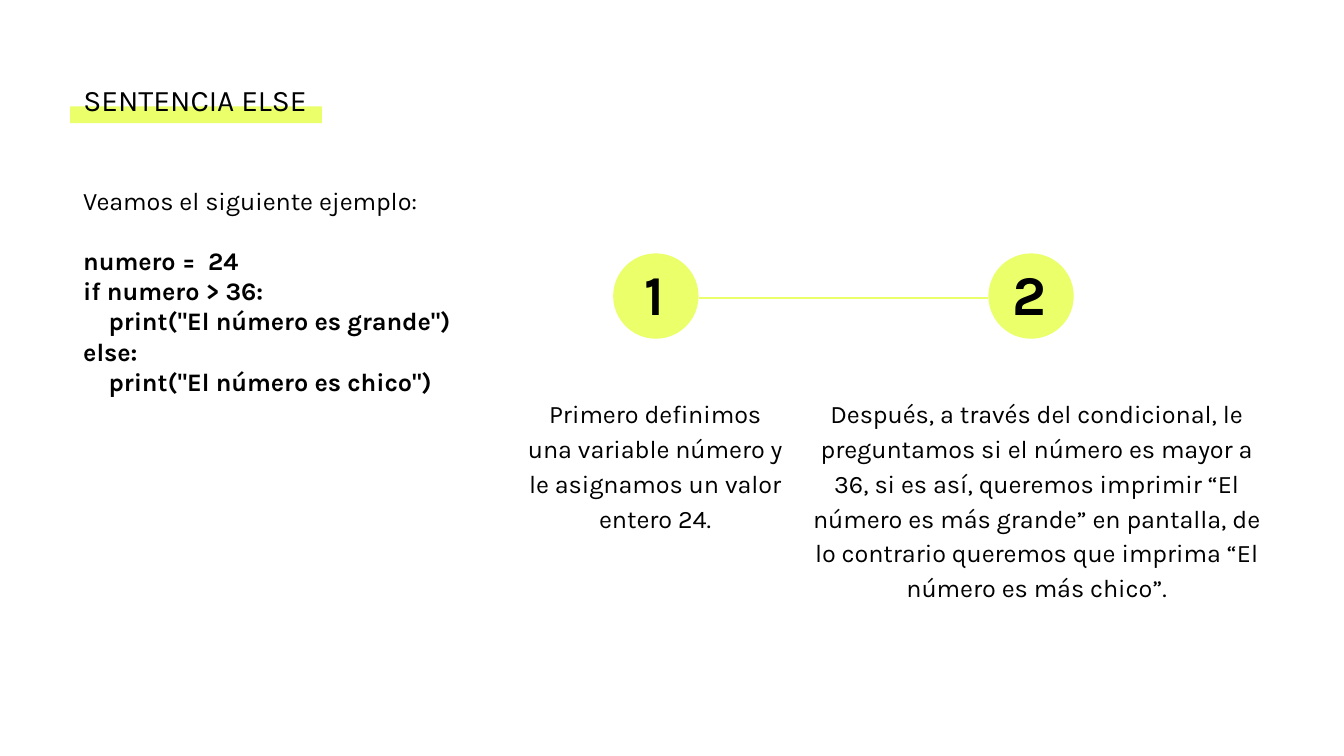
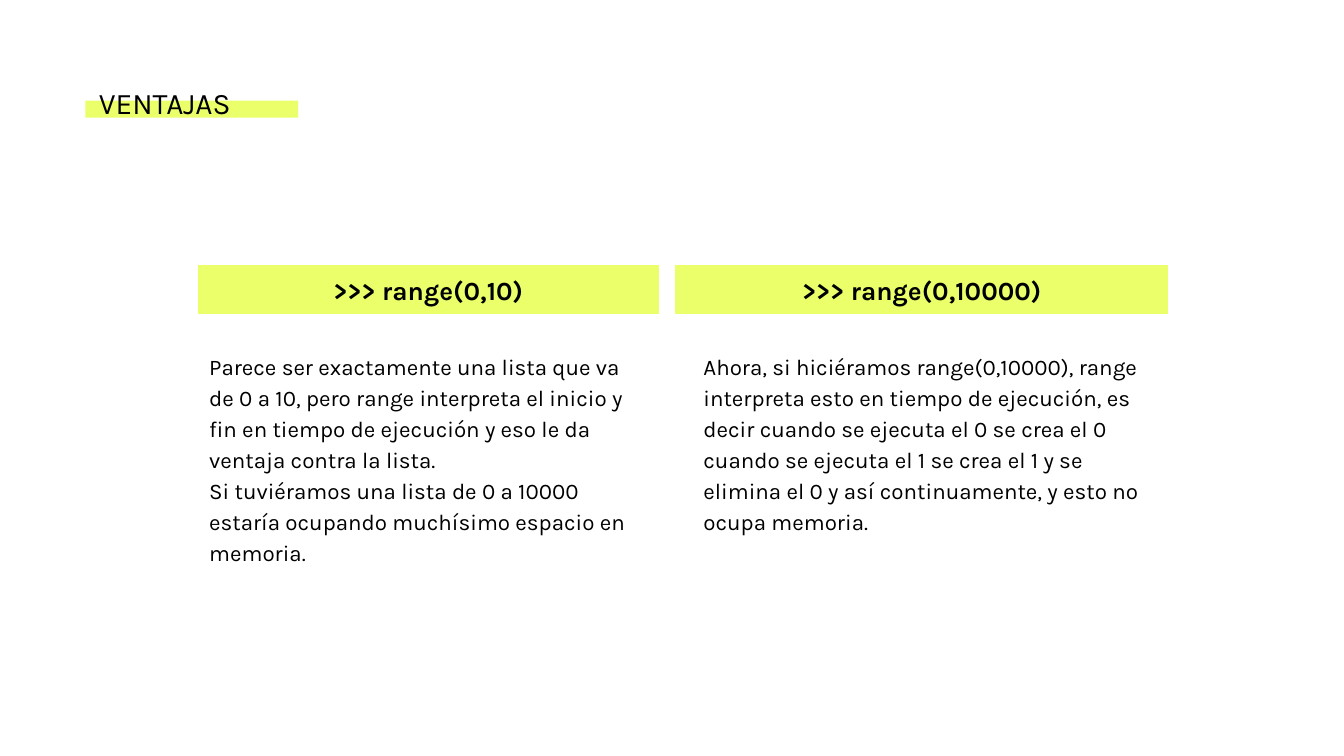
import pptx
import pptx.util
import pptx.dml.color
import pptx.enum.shapes
import pptx.enum.text
import pptx.oxml.ns
import lxml.etree

PX = 9525
LIME = pptx.dml.color.RGBColor(0xEA, 0xFF, 0x6A)
WHITE = pptx.dml.color.RGBColor(0xFF, 0xFF, 0xFF)
BLACK = pptx.dml.color.RGBColor(0x00, 0x00, 0x00)
SHAPE = pptx.enum.shapes.MSO_SHAPE
ALIGN = pptx.enum.text.PP_ALIGN
ANCHOR = pptx.enum.text.MSO_ANCHOR


def write(sp, lines, size, align=ALIGN.LEFT, spacing=1.0, bold=False, anchor=ANCHOR.TOP):
    tf = sp.text_frame
    frame = dict(word_wrap=True, vertical_anchor=anchor,
                 auto_size=pptx.enum.text.MSO_AUTO_SIZE.NONE)
    for side in ("left", "right", "top", "bottom"):
        frame["margin_" + side] = pptx.util.Inches(0.1)
    for name, value in frame.items():
        setattr(tf, name, value)
    for i, line in enumerate(lines):
        p = tf.paragraphs[0] if i == 0 else tf.add_paragraph()
        p.alignment, p.line_spacing = align, spacing
        r = p.add_run()
        r.text = line
        for name, value in dict(name="Karla", size=pptx.util.Pt(size), bold=bold).items():
            setattr(r.font, name, value)
        r.font.color.rgb = BLACK
    return tf


def add_lime(s, kind, *box):
    """Add a borderless lime shape; box is left, top, width, height in px."""
    sp = s.shapes.add_shape(kind, *[v * PX for v in box])
    sp.shadow.inherit = False
    sp.fill.solid()
    sp.fill.fore_color.rgb = LIME
    sp.line.fill.background()
    return sp


prs = pptx.Presentation()
prs.slide_width, prs.slide_height = 960 * PX, 540 * PX

# Titles, each over its highlighter band
titles = [
    ("SENTENCIA ELSE", (50, 49, 201, 45), (50, 76, 180, 12)),
    ("VENTAJAS", (61, 51, 179, 45), (61, 72, 152, 12)),
]
slides = []
for text, box, band_box in titles:
    s = prs.slides.add_slide(prs.slide_layouts[5])
    s.background.fill.solid()
    s.background.fill.fore_color.rgb = WHITE
    title = s.shapes.title
    title.left, title.top, title.width, title.height = [v * PX for v in box]
    write(title, [text], 16)
    band = add_lime(s, SHAPE.RECTANGLE, *band_box)
    band.element.addnext(title.element)
    slides.append(s)
else_slide, range_slide = slides

# Slide 1: code sample and two numbered steps
code = [
    "Veamos el siguiente ejemplo:",
    "numero =  24",
    "if numero > 36:",
    '    print("El número es grande")',
    "else:",
    '    print("El número es chico")',
]
sp = else_slide.shapes.add_textbox(50 * PX, 123 * PX, 307 * PX, 172 * PX)
tf = write(sp, code, 13.5)
for p in tf.paragraphs[1:]:
    p.runs[0].font.bold = True
tf.paragraphs[1].space_before = pptx.util.Pt(15.8)

DOT, DOT_TOP = 61, 181
steps = [
    (438, (366, 272, 204, 116),
     "Primero definimos una variable número y le asignamos un valor entero 24."),
    (706, (564, 272, 353, 167),
     "Después, a través del condicional, le preguntamos si el número es mayor a 36, "
     "si es así, queremos imprimir “El número es más grande” en pantalla, de lo contrario "
     "queremos que imprima “El número es más chico”."),
]
for number, (left, box, text) in enumerate(steps, 1):
    add_lime(else_slide, SHAPE.OVAL, left, DOT_TOP, DOT, DOT)
    sp = else_slide.shapes.add_textbox((left + 8) * PX, DOT_TOP * PX, 43 * PX, 63 * PX)
    write(sp, [str(number)], 30, ALIGN.CENTER, 0.9, True)
    sp = else_slide.shapes.add_textbox(*[v * PX for v in box])
    write(sp, [text], 13.5, ALIGN.CENTER, 1.15)

link = else_slide.shapes.add_connector(
    pptx.enum.shapes.MSO_CONNECTOR.STRAIGHT,
    (steps[0][0] + DOT) * PX, 213 * PX, steps[1][0] * PX, 213 * PX)
link.line.color.rgb = LIME
link.line.width = pptx.util.Pt(0.75)
lxml.etree.SubElement(link.element.spPr, pptx.oxml.ns.qn("a:effectLst"))

# Slide 2: two headed columns, as header left and width, text left and width
columns = [
    (140, 332, 140, 327, ">>> range(0,10)", [
        "Parece ser exactamente una lista que va de 0 a 10, pero range interpreta el inicio "
        "y fin en tiempo de ejecución y eso le da ventaja contra la lista.",
        "Si tuviéramos una lista de 0 a 10000 estaría ocupando muchísimo espacio en memoria."]),
    (481, 355, 493, 342, ">>> range(0,10000)", [
        "Ahora, si hiciéramos range(0,10000), range interpreta esto en tiempo de ejecución, "
        "es decir cuando se ejecuta el 0 se crea el 0 cuando se ejecuta el 1 se crea el 1 y "
        "se elimina el 0 y así continuamente, y esto no ocupa memoria."]),
]
for left, width, text_left, text_width, heading, lines in columns:
    header = add_lime(range_slide, SHAPE.RECTANGLE, left, 188, width, 38)
    header.line.color.rgb = WHITE
    header.line.width = pptx.util.Pt(2.25)
    write(header, [heading], 14, ALIGN.CENTER, bold=True, anchor=ANCHOR.MIDDLE)
    sp = range_slide.shapes.add_textbox(text_left * PX, 240 * PX, text_width * PX, 44 * PX)
    write(sp, lines, 12, spacing=1.15)

prs.save("out.pptx")
